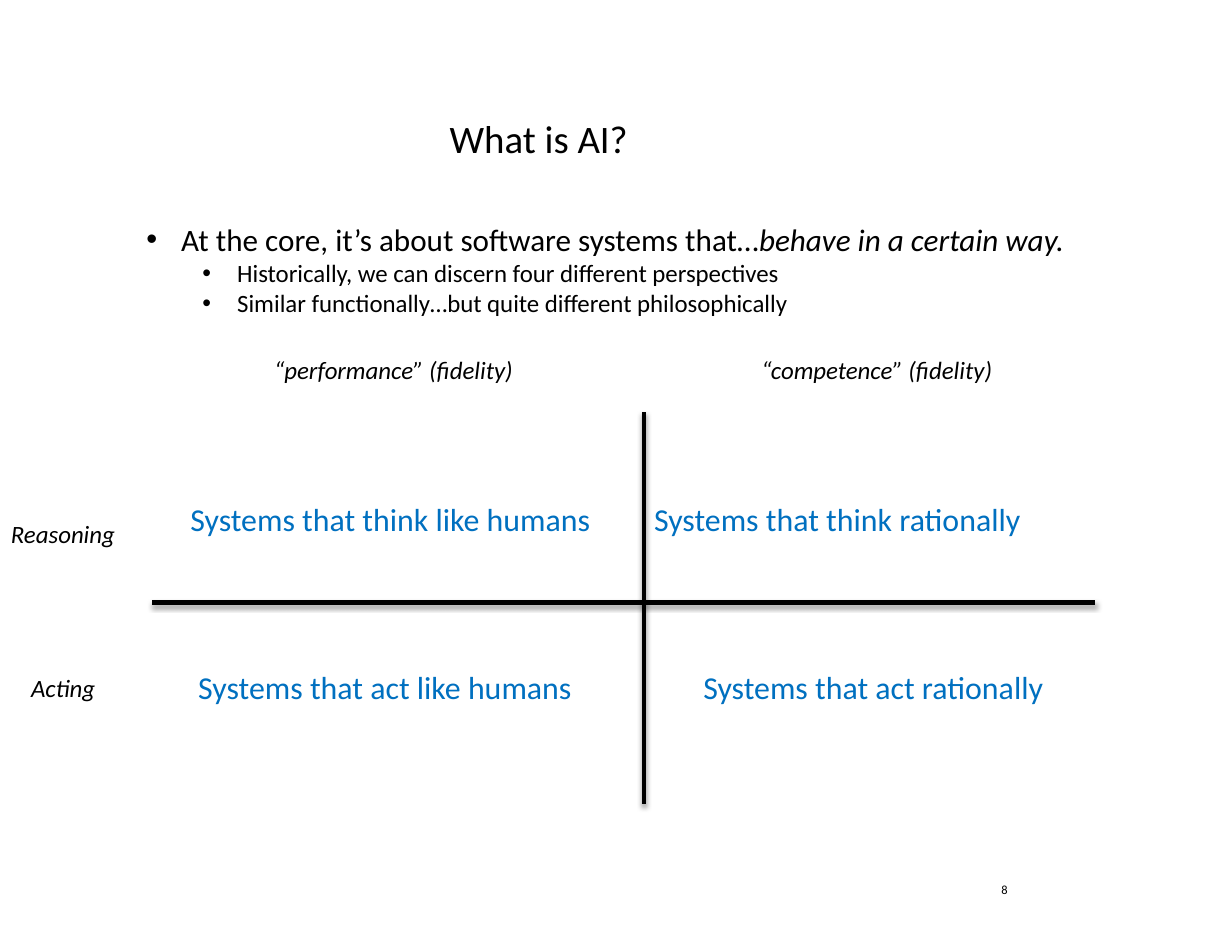
import pptx
import pptx.util
import pptx.dml.color
import pptx.enum.shapes
import pptx.enum.text
import pptx.oxml
import pptx.oxml.ns

Inches = pptx.util.Inches
Pt = pptx.util.Pt
BLACK = pptx.dml.color.RGBColor(0x00, 0x00, 0x00)
BLUE = pptx.dml.color.RGBColor(0x00, 0x70, 0xC0)
ALIGN = pptx.enum.text.PP_ALIGN
NS = pptx.oxml.ns.nsdecls("a")
SHADOW = (
    f'<a:effectLst {NS}><a:outerShdw blurRad="{Pt(3.1)}" dist="{Pt(1.8)}" dir="5400000" '
    'rotWithShape="0"><a:srgbClr val="000000"><a:alpha val="35000"/></a:srgbClr>'
    "</a:outerShdw></a:effectLst>"
)


class Deck:
    """Holds the text style and the current slide, and adds elements to it."""

    font = "Calibri"

    def __init__(self, prs):
        self.slide = prs.slides.add_slide(prs.slide_layouts[6])

    def run(self, p, text, size, color=BLACK, italic=False):
        r = p.add_run()
        r.text = text
        style = {"name": self.font, "size": Pt(size), "italic": italic}
        for key, value in style.items():
            setattr(r.font, key, value)
        r.font.color.rgb = color

    def frame(self, x, y, w, h, inset=(0, 0), wrap=True):
        sp = self.slide.shapes.add_textbox(Inches(x), Inches(y), Inches(w), Inches(h))
        tf = sp.text_frame
        dx, dy = (Inches(v) for v in inset)
        layout = {"margin_left": dx, "margin_right": dx, "margin_top": dy,
                  "margin_bottom": dy, "word_wrap": wrap}
        for key, value in layout.items():
            setattr(tf, key, value)
        return tf

    def text(self, box, text, size, color=BLACK, italic=False, spacing=None,
             align=ALIGN.LEFT, **layout):
        p = self.frame(*box, **layout).paragraphs[0]
        p.alignment = align
        p.line_spacing = spacing
        self.run(p, text, size, color, italic)

    def label(self, box, text):
        self.text(box, text, 16, italic=True, inset=(0.1, 0.05), wrap=False)

    def bullets(self, box, items):
        tf = self.frame(*box, inset=(0.1, 0.05), wrap=False)
        for i, (level, size, runs) in enumerate(items):
            p = tf.paragraphs[0] if i == 0 else tf.add_paragraph()
            p.level = level
            pPr = p._p.get_or_add_pPr()
            pPr.set("marL", str(Inches(0.31 + 0.5 * level)))
            pPr.set("indent", str(Inches(-0.31)))
            for xml in (f'<a:buFont {NS} typeface="Arial"/>', f'<a:buChar {NS} char="•"/>'):
                pPr.append(pptx.oxml.parse_xml(xml))
            for text, italic in runs:
                self.run(p, text, size, italic=italic)

    def axis(self, *ends):
        kind = pptx.enum.shapes.MSO_CONNECTOR.STRAIGHT
        sp = self.slide.shapes.add_connector(kind, *(Inches(v) for v in ends))
        sp.line.color.rgb = BLACK
        sp.line.width = Pt(3)
        sp._element.spPr.append(pptx.oxml.parse_xml(SHADOW))


def main():
    prs = pptx.Presentation()
    prs.slide_width, prs.slide_height = Inches(11), Inches(8.5)
    deck = Deck(prs)

    deck.text((0.59, 1.11, 8.44, 0.33), "What is AI?", 25, spacing=Pt(24.1),
              align=ALIGN.CENTER)
    deck.bullets((1.21, 1.92, 8.4, 0.96), [
        (0, 20, [("At the core, it’s about software systems that…", False),
                 ("behave in a certain way.", True)]),
        (1, 16, [("Historically, we can discern four different perspectives", False)]),
        (1, 16, [("Similar functionally…but quite different philosophically", False)]),
    ])

    quadrants = [
        (1.7, 4.43, "Systems that think like humans"),
        (5.84, 4.43, "Systems that think rationally"),
        (1.77, 5.93, "Systems that act like humans"),
        (6.28, 5.93, "Systems that act rationally"),
    ]
    for x, y, text in quadrants:
        deck.text((x, y, 3.8, 0.38), text, 20.5, BLUE, spacing=1.1)

    deck.axis(5.75, 3.68, 5.75, 7.18)
    deck.axis(1.36, 5.38, 9.78, 5.38)

    labels = [
        (2.35, 3.12, 2.33, "“performance” (fidelity)"),
        (6.7, 3.12, 2.27, "“competence” (fidelity)"),
        (0, 4.58, 1.13, "Reasoning"),
        (0.18, 5.96, 0.77, "Acting"),
    ]
    for x, y, w, text in labels:
        deck.label((x, y, w, 0.36), text)

    deck.text((8.94, 7.89, 0.14, 0.14), "8", 8, spacing=Pt(8.8))
    prs.save("out.pptx")


if __name__ == "__main__":
    main()
